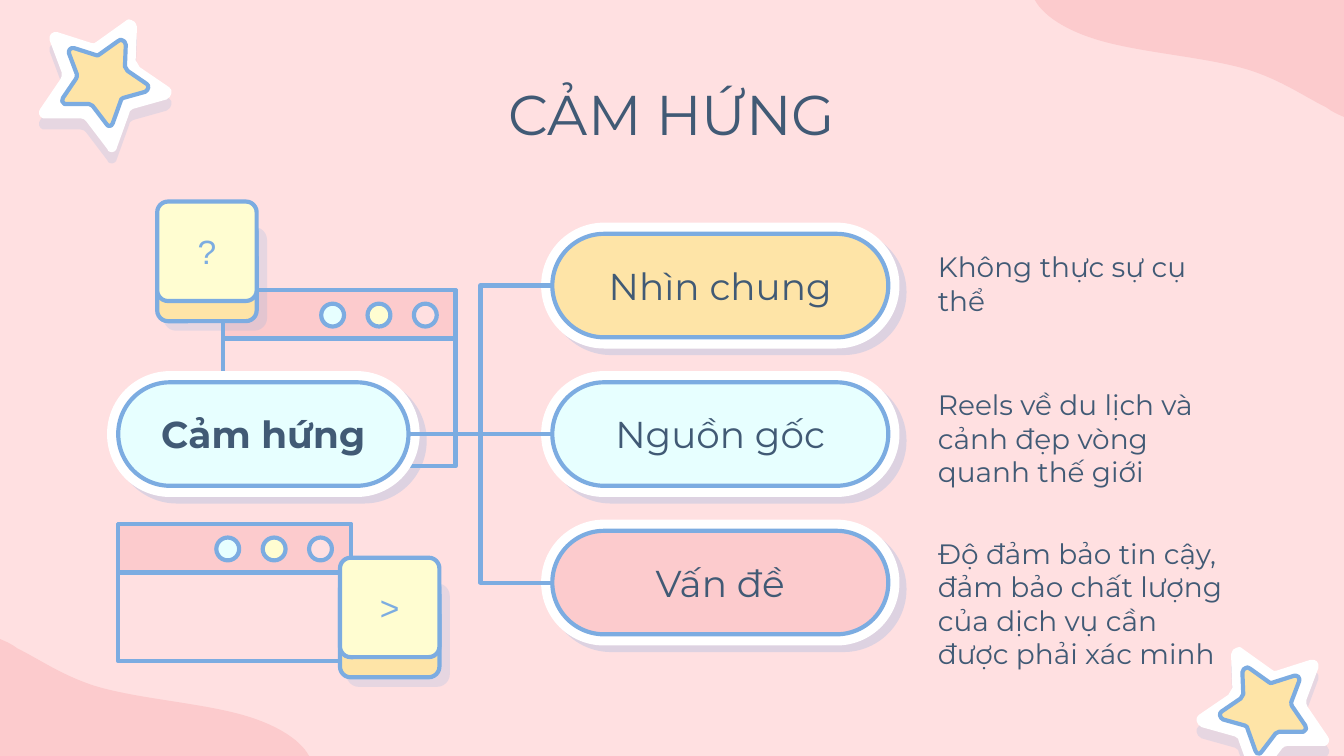
from lxml.etree import SubElement
from pptx import Presentation
from pptx.dml.color import RGBColor
from pptx.enum.shapes import MSO_CONNECTOR, MSO_SHAPE
from pptx.enum.text import MSO_ANCHOR, PP_ALIGN
from pptx.oxml.ns import qn
from pptx.util import Inches, Pt

PINK = RGBColor(0xFF, 0xE0, 0xE1)
ROSE = RGBColor(0xFC, 0xCB, 0xCD)
YELLOW = RGBColor(0xFE, 0xE4, 0xA7)
CREAM = RGBColor(0xFF, 0xFD, 0xD1)
ICE = RGBColor(0xE7, 0xFF, 0xFF)
BLUE = RGBColor(0x7C, 0xAC, 0xE1)
SLATE = RGBColor(0x41, 0x5A, 0x75)
WHITE = RGBColor(0xFF, 0xFF, 0xFF)

# Grid in inches: columns, and evenly spaced rows of the diagram
SLIDE_W, SLIDE_H = 10, 5.625
ROOT_X, BRANCH_X, NOTE_X = 0.88, 4.11, 6.88
ROOT_W, BRANCH_W, NOTE_W = 2.16, 2.5, 2.35
ROW_TOP, ROW_STEP, ROW_H = 1.74, 2.21 / 2, 0.77

BRANCHES = [  # label, fill, note, shift of the note from its row
    ("Nhìn chung", YELLOW, "Không thực sự cụ thể", 0.02),
    ("Nguồn gốc", ICE, "Reels về du lịch và cảnh đẹp vòng quanh thế giới", -0.06),
    ("Vấn đề", ROSE, "Độ đảm bảo tin cậy, đảm bảo chất lượng của dịch vụ "
                     "cần được phải xác minh", -0.06),
]

# Outlines: a single point is a line to it, three points are a Bezier curve
WAVE = [
    [(7.7, 0)], [(7.77, 0.13), (7.97, 0.25), (8.25, 0.32)],
    [(8.57, 0.4), (8.99, 0.43), (9.29, 0.52)],
    [(9.54, 0.6), (9.69, 0.71), (9.87, 0.8)],
    [(9.91, 0.83), (9.95, 0.85), (10, 0.87)], [(10, 0)],
]
STAR = [
    [(0.98, 0.15)], [(0.97, 0.14), (0.95, 0.14), (0.93, 0.16)],
    [(0.72, 0.31)], [(0.71, 0.32), (0.69, 0.33), (0.68, 0.32)],
    [(0.43, 0.24)], [(0.39, 0.23), (0.36, 0.26), (0.37, 0.3)],
    [(0.46, 0.54)], [(0.46, 0.56), (0.46, 0.58), (0.45, 0.59)],
    [(0.3, 0.81)], [(0.28, 0.83), (0.29, 0.87), (0.32, 0.88)],
    [(0.32, 0.88), (0.33, 0.88), (0.34, 0.88)],
    [(0.6, 0.88)], [(0.62, 0.88), (0.63, 0.89), (0.64, 0.9)],
    [(0.8, 1.11)], [(0.8, 1.12), (0.81, 1.13), (0.82, 1.13)],
    [(0.84, 1.14), (0.87, 1.12), (0.87, 1.1)],
    [(0.96, 0.85)], [(0.96, 0.83), (0.97, 0.82), (0.99, 0.81)],
    [(1.24, 0.74)], [(1.28, 0.72), (1.29, 0.67), (1.26, 0.65)],
    [(1.04, 0.5)], [(1.02, 0.48), (1.02, 0.47), (1.01, 0.45)],
    [(1.02, 0.2)], [(1.01, 0.17), (1, 0.15), (0.98, 0.15)],
]
STAR_CENTER = (0.78, 0.58)


def paint(shape, fill, line=BLUE, weight=2.25, shadow=None):
    """Set fill and line; shadow is (opacity %, distance pt, angle)."""
    shape.fill.solid()
    shape.fill.fore_color.rgb = fill
    if line is None:
        shape.line.fill.background()
    else:
        shape.line.color.rgb = line
        shape.line.width = Pt(weight)
    shape.shadow.inherit = False
    if shadow:
        opacity, distance, angle = shadow
        effects = shape._element.spPr.find(qn("a:effectLst"))
        outer = SubElement(effects, qn("a:outerShdw"), blurRad="0",
                           dist=str(Pt(distance)), dir=str(angle * 60000),
                           algn="bl", rotWithShape="0")
        color = SubElement(outer, qn("a:srgbClr"), val=str(BLUE))
        SubElement(color, qn("a:alpha"), val=str(opacity * 1000))
    return shape


def add_part(slide, kind, box, fill, corners=(), **style):
    part = slide.shapes.add_shape(kind, *map(Inches, box))
    for index, value in enumerate(corners):
        part.adjustments[index] = value
    return paint(part, fill, **style)


def write(shape, text, size, align=PP_ALIGN.CENTER, anchor=MSO_ANCHOR.MIDDLE,
          color=SLATE, font="Montserrat", bold=False):
    frame = shape.text_frame
    margins = dict.fromkeys(("margin_left", "margin_right", "margin_top",
                             "margin_bottom"), Inches(0.1))
    for name, value in {"word_wrap": True, "vertical_anchor": anchor, **margins}.items():
        setattr(frame, name, value)
    paragraph = frame.paragraphs[0]
    paragraph.alignment = align
    run = paragraph.add_run()
    run.text = text
    for name, value in {"name": font, "size": Pt(size), "bold": bold}.items():
        setattr(run.font, name, value)
    run.font.color.rgb = color


def add_text(slide, box, text, size, align):
    write(slide.shapes.add_textbox(*map(Inches, box)), text, size, align, MSO_ANCHOR.TOP)


def add_outline(slide, outline, place, fill, **style):
    """Draw an outline whose points are moved by the function place."""
    segments = [[tuple(map(Inches, place(*point))) for point in segment]
                for segment in outline]
    first, *rest = [segment[-1] for segment in segments]
    builder = slide.shapes.build_freeform(*first)
    builder.add_line_segments(rest, close=True)
    shape = builder.convert_to_shape()
    # Turn the three-point segments into true curves
    lines = list(shape._element.iter(qn("a:lnTo")))
    for line, segment in zip(lines, segments[1:]):
        if len(segment) == 3:
            curve = line.makeelement(qn("a:cubicBezTo"))
            for x, y in segment:
                SubElement(curve, qn("a:pt"), x=str(x - shape.left), y=str(y - shape.top))
            line.getparent().replace(line, curve)
    return paint(shape, fill, **style)


def add_star(slide, center, mirror=1):
    layers = ((1, WHITE, {"line": None, "shadow": (19, 6, 90)}), (0.65, YELLOW, {}))
    for scale, fill, style in layers:
        def place(x, y):
            return (center[0] + mirror * scale * (x - STAR_CENTER[0]),
                    center[1] + scale * (y - STAR_CENTER[1]))
        add_outline(slide, STAR, place, fill, **style)


def add_background(slide):
    slide.background.fill.solid()
    slide.background.fill.fore_color.rgb = PINK
    add_outline(slide, WAVE, lambda x, y: (x, y), ROSE, line=None)
    add_star(slide, STAR_CENTER)
    add_star(slide, (9.4, 5.25), mirror=-1)
    add_outline(slide, WAVE, lambda x, y: (SLIDE_W - x, SLIDE_H - y), ROSE, line=None)


def add_window(slide, box):
    x, y, w, h = box
    add_part(slide, MSO_SHAPE.RECTANGLE, box, PINK)
    add_part(slide, MSO_SHAPE.ROUND_2_SAME_RECTANGLE, (x, y, w, 0.36), ROSE, (0, 0))
    for index, fill in enumerate((ICE, CREAM, PINK)):
        button = (x + 0.73 + 0.345 * index, y + 0.1, 0.17, 0.17)
        add_part(slide, MSO_SHAPE.OVAL, button, fill)


def add_pill(slide, box, label, fill, bold=False):
    add_part(slide, MSO_SHAPE.ROUNDED_RECTANGLE, box, WHITE, (0.5,),
             line=WHITE, weight=12, shadow=(25, 5.2, 43))
    pill = add_part(slide, MSO_SHAPE.ROUNDED_RECTANGLE, box, fill, (0.5,))
    write(pill, label, 20, bold=bold)
    return pill


def add_keycap(slide, box, symbol):
    x, y, w, h = box
    add_part(slide, MSO_SHAPE.ROUNDED_RECTANGLE, (x, y + 0.15, w, h), YELLOW, (0.108,),
             shadow=(18, 6, 42))
    cap = add_part(slide, MSO_SHAPE.ROUNDED_RECTANGLE, box, CREAM, (0.108,))
    write(cap, symbol, 18, color=BLUE, font="Arial")


def add_link(slide, root, branch):
    kind = MSO_CONNECTOR.STRAIGHT if root.top == branch.top else MSO_CONNECTOR.ELBOW
    link = slide.shapes.add_connector(kind, 0, 0, 0, 0)
    link.begin_connect(root, 3)
    link.end_connect(branch, 1)
    link.line.color.rgb = BLUE
    link.line.width = Pt(2.25)
    SubElement(link._element.spPr, qn("a:effectLst"))


def add_diagram(slide):
    root = add_pill(slide, (ROOT_X, ROW_TOP + ROW_STEP, ROOT_W, ROW_H),
                    "Cảm hứng", ICE, bold=True)
    branches = []
    for row, (label, fill, note, shift) in enumerate(BRANCHES):
        y = ROW_TOP + row * ROW_STEP
        branches.append(add_pill(slide, (BRANCH_X, y, BRANCH_W, ROW_H), label, fill))
        add_text(slide, (NOTE_X, y + shift, NOTE_W, 0.74), note, 15, PP_ALIGN.LEFT)
    for branch in branches:
        add_link(slide, root, branch)


def main():
    deck = Presentation()
    deck.slide_width, deck.slide_height = Inches(SLIDE_W), Inches(SLIDE_H)
    slide = deck.slides.add_slide(deck.slide_layouts[6])
    add_background(slide)
    add_window(slide, (1.66, 2.16, 1.73, 1.31))
    add_text(slide, (0.78, 0.49, 8.44, 0.63), "CẢM HỨNG", 30, PP_ALIGN.CENTER)
    add_diagram(slide)
    add_window(slide, (ROOT_X, 3.9, 1.73, 1.02))
    add_keycap(slide, (1.17, 1.5, 0.74, 0.74), "?")
    add_keycap(slide, (2.53, 4.15, 0.74, 0.74), ">")
    deck.save("out.pptx")


if __name__ == "__main__":
    main()
